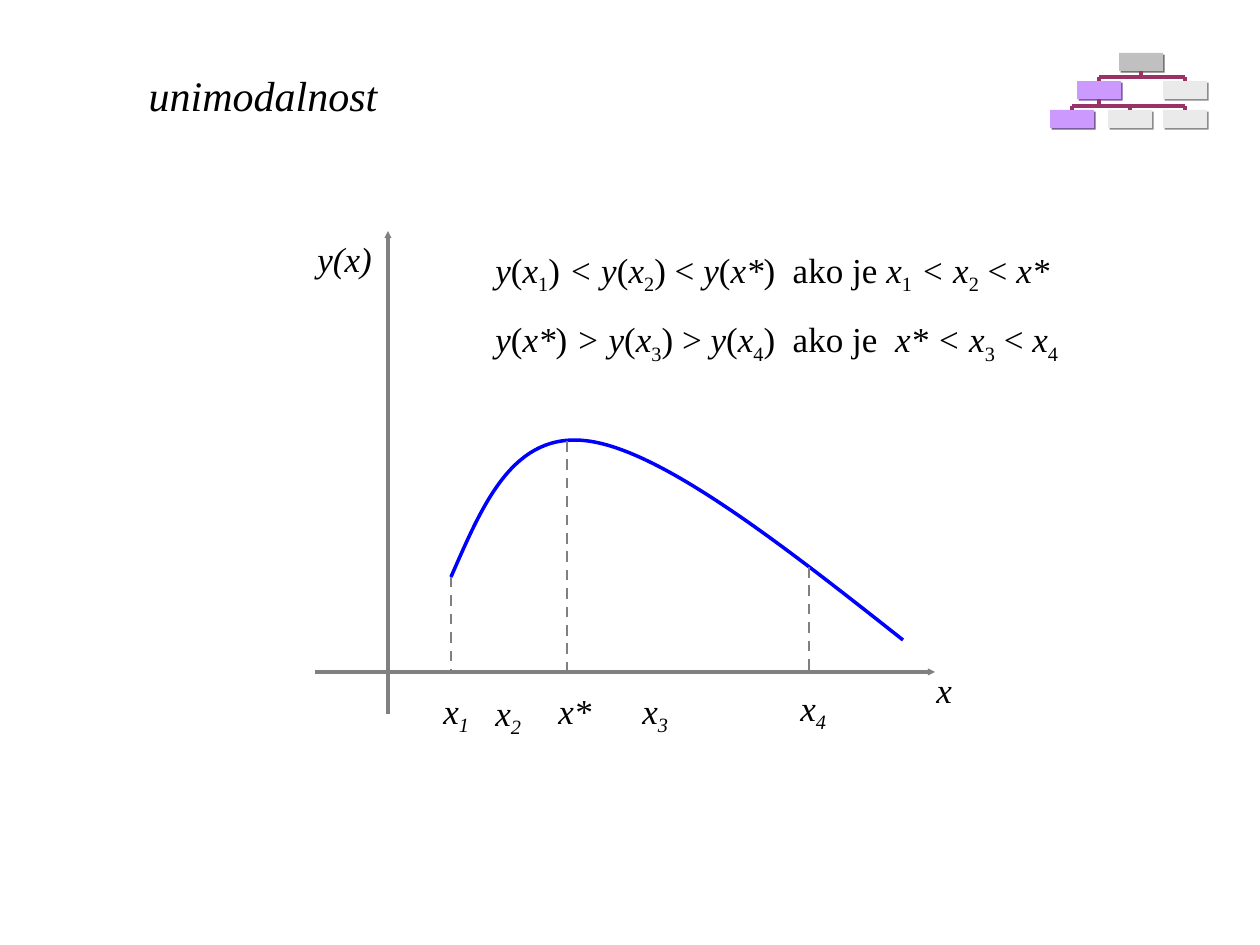
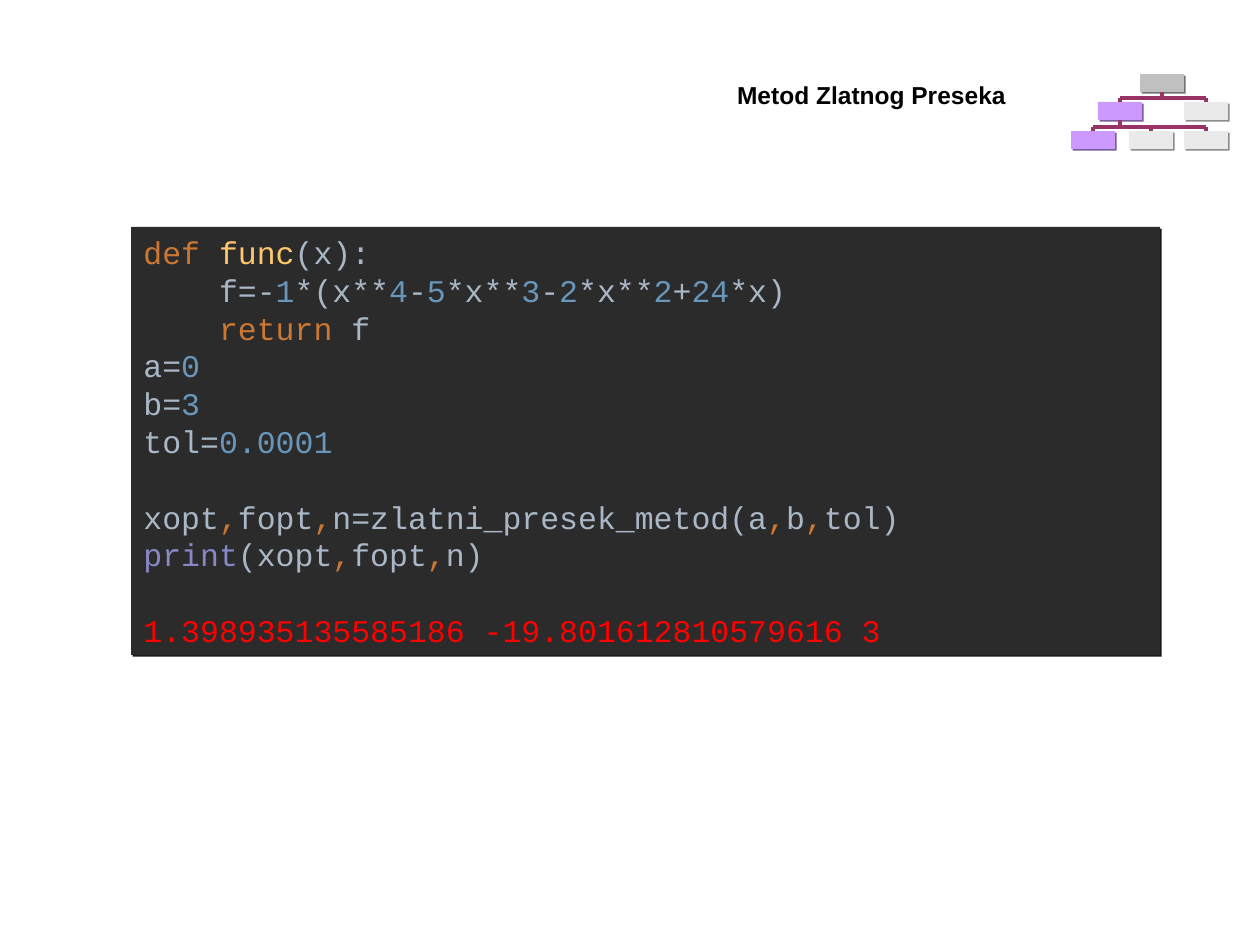
from dataclasses import dataclass
from itertools import groupby

from lxml.etree import SubElement
from pptx import Presentation
from pptx.dml.color import RGBColor
from pptx.enum.dml import MSO_LINE
from pptx.enum.shapes import MSO_CONNECTOR, MSO_SHAPE
from pptx.enum.text import MSO_ANCHOR, PP_ALIGN
from pptx.oxml.ns import qn
from pptx.util import Emu, Pt

SCALE = 914400 / 126  # EMU per px


def px(n):
    return Emu(round(n * SCALE))


@dataclass(frozen=True)
class Theme:
    ink: str = "000000"
    axis: str = "808080"
    curve: str = "0000FF"
    root: str = "C0C0C0"
    root_shadow: str = "737373"
    active: str = "CC99FF"
    active_shadow: str = "7A5C99"
    idle: str = "EAEAEA"
    idle_shadow: str = "8C8C8C"
    branch: str = "993366"
    code_back: str = "2B2B2B"
    code_shadow: str = "1A1A1A"
    code_text: str = "A9B7C6"
    keyword: str = "CC7832"
    function: str = "FFC66D"
    builtin: str = "8888C6"
    number: str = "6897BB"
    result: str = "FF0000"
    serif: str = "Times New Roman"
    sans: str = "Arial"
    mono: str = "Courier New"
    title_size: int = 24
    math_size: int = 20
    code_size: int = 18
    heading_size: int = 14
    code_leading: float = 21.6
    math_gap: float = 12.5


class Deck:
    def __init__(self, theme):
        self.t = theme
        self.prs = Presentation()
        self.prs.slide_width, self.prs.slide_height = px(1260), px(945)

    def slide(self):
        self.s = self.prs.slides.add_slide(self.prs.slide_layouts[6])
        self.shapes = self.s.shapes

    def group(self):
        self.shapes = self.s.shapes.add_group_shape().shapes

    def ungroup(self):
        self.shapes = self.s.shapes

    def rect(self, x, y, w, h, fill, shadow):
        sp = self.shapes.add_shape(MSO_SHAPE.RECTANGLE, px(x), px(y), px(w), px(h))
        sp.fill.solid()
        sp.fill.fore_color.rgb = RGBColor.from_string(fill)
        sp.line.fill.background()
        sp.shadow.inherit = False
        effects = sp._element.spPr.find(qn("a:effectLst"))
        outer = SubElement(effects, qn("a:outerShdw"), blurRad="0", dist=str(Pt(1.4)),
                           dir="2700000", algn="ctr", rotWithShape="0")
        SubElement(outer, qn("a:srgbClr"), val=shadow)
        return sp

    def line(self, x1, y1, x2, y2, color, width=2, dash=False, arrow=False,
             start=None, end=None):
        cx = self.shapes.add_connector(MSO_CONNECTOR.STRAIGHT, px(x1), px(y1), px(x2), px(y2))
        if start:
            cx.begin_connect(start, 2)
        if end:
            cx.end_connect(end, 0)
        cx.line.color.rgb = RGBColor.from_string(color)
        cx.line.width = Pt(width)
        if dash:
            cx.line.dash_style = MSO_LINE.DASH
        if arrow:
            SubElement(cx.line._get_or_add_ln(), qn("a:tailEnd"), type="triangle", w="sm", len="sm")
        SubElement(cx._element.spPr, qn("a:effectLst"))

    def bezier(self, points, color, width=2):
        """Cubic curve: a start point, then three points for each segment."""
        fb = self.shapes.build_freeform(*points[0], scale=SCALE)
        fb.add_line_segments(points[1:], close=False)
        sp = fb.convert_to_shape()
        outline = sp._element.find(".//" + qn("a:path"))
        steps = outline.findall(qn("a:lnTo"))
        for i in range(0, len(steps), 3):
            cubic = SubElement(outline, qn("a:cubicBezTo"))
            for step in steps[i:i + 3]:
                cubic.append(step[0])
                outline.remove(step)
        sp.fill.background()
        sp.line.color.rgb = RGBColor.from_string(color)
        sp.line.width = Pt(width)
        sp.shadow.inherit = False

    def textbox(self, x, y, w, h, anchor=MSO_ANCHOR.TOP):
        tf = self.shapes.add_textbox(px(x), px(y), px(w), px(h)).text_frame
        tf.word_wrap = True
        tf.vertical_anchor = anchor
        return tf

    def paragraph(self, tf, runs, name, size, bold=False, align=PP_ALIGN.LEFT):
        """Each run is (text, colour, italic, subscript)."""
        p = tf.paragraphs[0]
        if p.runs:
            p = tf.add_paragraph()
        p.alignment = align
        for text, color, italic, sub in runs:
            r = p.add_run()
            r.text = text
            for font in (p.font, r.font):
                font.name, font.size, font.bold = name, Pt(size), bold
            r.font.color.rgb = RGBColor.from_string(color)
            r.font.italic = italic
            if sub:
                r.font._element.set("baseline", "-25000")
        return p

    def math(self, tf, formula):
        """Italic and upright parts alternate at '|'; '_' lowers the next sign."""
        runs = []
        for i, part in enumerate(formula.split("|")):
            italic = i % 2 == 0
            head, *lowered = part.split("_")
            runs.append((head, self.t.ink, italic, False))
            for tail in lowered:
                runs.append((tail[0], self.t.ink, italic, True))
                runs.append((tail[1:], self.t.ink, italic, False))
        p = self.paragraph(tf, [run for run in runs if run[0]], self.t.serif, self.t.math_size)
        p.space_before = Pt(self.t.math_gap)

    def code_color(self, token):
        t = self.t
        if token[0].isdigit():
            return t.number
        return {"def": t.keyword, "return": t.keyword, ",": t.keyword,
                "func": t.function, "print": t.builtin}.get(token, t.code_text)

    def code(self, tf, text, color=None, gap=False):
        def kind(c):
            return "word" if c.isalnum() or c in "_." else "comma" if c == "," else "sign"

        tokens = [text] if color else ["".join(g) for _, g in groupby(text, kind)]
        runs = [(tok, color or self.code_color(tok), False, False) for tok in tokens]
        p = self.paragraph(tf, runs, self.t.mono, self.t.code_size)
        p.line_spacing = Pt(self.t.code_leading)
        p.space_before = Pt(self.t.code_leading if gap else 0)

    def tree(self, x, y):
        """Small hierarchy emblem with its top left corner at x, y."""
        t = self.t
        w, h = 44, 18
        active, idle = (t.active, t.active_shadow), (t.idle, t.idle_shadow)
        self.group()

        def box(dx, dy, colors):
            return self.rect(x + dx, y + dy, w, h, *colors)

        root = box(69, 0, (t.root, t.root_shadow))
        middle = [box(27, 28, active), box(113, 28, idle)]
        leaves = [box(0, 57, active), box(58, 57, idle), box(113, 57, idle)]
        for parent, children, dy in ((root, middle, 24), (middle[0], leaves, 53)):
            bus = y + dy
            centers = [round(c.left / SCALE) + w // 2 for c in children]
            stem = round(parent.left / SCALE) + w // 2
            self.line(centers[0], bus, centers[-1], bus, t.branch)
            self.line(stem, bus, stem, bus, t.branch, start=parent)
            for cx, child in zip(centers, children):
                self.line(cx, bus, cx, bus, t.branch, end=child)
        self.ungroup()


def unimodality(d):
    t = d.t
    d.slide()
    d.tree(1050, 53)

    # Title and conditions
    tf = d.textbox(53, 53, 420, 84, MSO_ANCHOR.MIDDLE)
    d.paragraph(tf, [("unimodalnost", t.ink, True, False)], t.serif, t.title_size,
                align=PP_ALIGN.CENTER)
    tf = d.textbox(483, 242, 672, 130)
    d.math(tf, "y|(|x|_1) |< y|(|x|_2) < |y|(|x*|)  ako je |x|_1 |< x|_2 < |x*")
    d.math(tf, "y|(|x*|) |> y|(|x|_3) > |y|(|x|_4)  ako je  |x* < x|_3 < |x|_4")

    # Axes, curve and drop lines
    d.group()
    base = 672
    d.line(315, base, 935, base, t.axis, arrow=True)
    d.line(388, 714, 388, 231, t.axis, arrow=True)
    d.bezier([(451, 577), (483, 504), (513, 431), (588, 441),
              (663, 451), (784, 546), (903, 640)], t.curve)
    for x, top in ((451, 577), (567, 441), (809, 567)):
        d.line(x, top, x, base, t.axis, 1.5, dash=True)

    # Labels
    for x, y, w, label in ((924, 662, 53, "x"), (305, 231, 116, "y(x)"),
                           (431, 683, 84, "x_1"), (483, 685, 84, "x_2"),
                           (546, 683, 94, "x*"), (630, 683, 84, "x_3"),
                           (788, 680, 84, "x_4")):
        d.math(d.textbox(x, y, w, 60), label)
    d.ungroup()


def golden_section(d):
    t = d.t
    d.slide()
    d.tree(1071, 74)

    # Heading
    tf = d.textbox(672, 74, 399, 43)
    d.paragraph(tf, [("Metod Zlatnog Preseka", t.ink, False, False)], t.sans,
                t.heading_size, bold=True, align=PP_ALIGN.CENTER)

    # Code panel
    tf = d.rect(131, 227, 1029, 428, t.code_back, t.code_shadow).text_frame
    tf.word_wrap = True
    tf.vertical_anchor = MSO_ANCHOR.MIDDLE
    for text in ("def func(x):",
                 "    f=-1*(x**4-5*x**3-2*x**2+24*x)",
                 "    return f",
                 "a=0",
                 "b=3",
                 "tol=0.0001"):
        d.code(tf, text)
    d.code(tf, "xopt,fopt,n=zlatni_presek_metod(a,b,tol)", gap=True)
    d.code(tf, "print(xopt,fopt,n)")
    d.code(tf, "1.398935135585186 -19.801612810579616 3", t.result, gap=True)


def main():
    d = Deck(Theme())
    unimodality(d)
    golden_section(d)
    d.prs.save("out.pptx")


if __name__ == "__main__":
    main()
